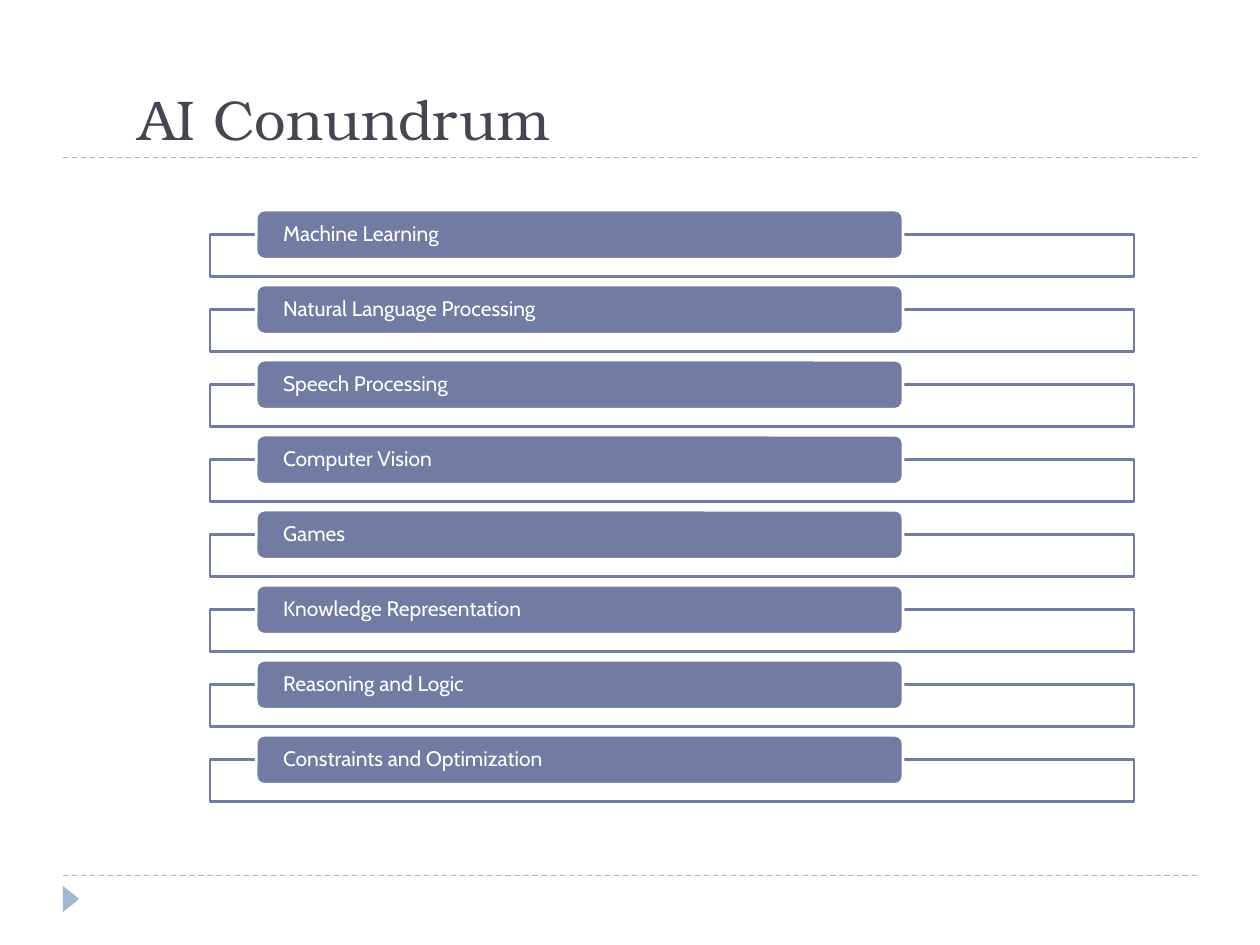
import pptx
import pptx.util
import pptx.dml.color
import pptx.enum.dml
import pptx.enum.shapes
import pptx.enum.text
import pptx.oxml.ns
import lxml.etree

Pt = pptx.util.Pt
RGBColor = pptx.dml.color.RGBColor
Shape = pptx.enum.shapes.MSO_SHAPE
Anchor = pptx.enum.text.MSO_ANCHOR
qn = pptx.oxml.ns.qn

WHITE = RGBColor(0xFF, 0xFF, 0xFF)
INK = RGBColor(0x46, 0x46, 0x53)
SLATE = RGBColor(0x72, 0x7C, 0xA3)
PALE_BLUE = RGBColor(0x9F, 0xB8, 0xCD)


def write_text(shape, text, font, size, color, anchor, inset, vertical_inset, spacing=1.0):
    frame = shape.text_frame
    frame.word_wrap = True
    frame.vertical_anchor = anchor
    frame.margin_left = frame.margin_right = Pt(inset)
    frame.margin_top = frame.margin_bottom = Pt(vertical_inset)
    paragraph = frame.paragraphs[0]
    paragraph.alignment = pptx.enum.text.PP_ALIGN.LEFT
    paragraph.line_spacing = spacing
    run = paragraph.add_run()
    run.text = text
    run.font.name = font
    run.font.size = Pt(size)
    run.font.color.rgb = color


def add_filled_shape(slide, kind, left, top, width, height, fill, line=None):
    shape = slide.shapes.add_shape(kind, Pt(left), Pt(top), Pt(width), Pt(height))
    shape.shadow.inherit = False
    shape.fill.solid()
    shape.fill.fore_color.rgb = fill
    if line is None:
        shape.line.fill.background()
    else:
        shape.line.color.rgb = line
        shape.line.width = Pt(1.5)
    return shape


presentation = pptx.Presentation()
presentation.slide_width = Pt(720)
presentation.slide_height = Pt(540)
slide = presentation.slides.add_slide(presentation.slide_layouts[6])

for rule_top in (500.4, 90):
    rule = slide.shapes.add_connector(
        pptx.enum.shapes.MSO_CONNECTOR.STRAIGHT, Pt(36), Pt(rule_top), Pt(684), Pt(rule_top))
    rule.line.color.rgb = PALE_BLUE
    rule.line.width = Pt(0.75)
    rule.line.dash_style = pptx.enum.dml.MSO_LINE.DASH
    lxml.etree.SubElement(rule.element.spPr, qn("a:effectLst"))

page_marker = add_filled_shape(
    slide, Shape.ISOSCELES_TRIANGLE, 33.1, 509, 15, 9.4, PALE_BLUE)
page_marker.rotation = 90

title = slide.shapes.add_textbox(Pt(72), Pt(0), Pt(648), Pt(90))
write_text(title, "AI Conundrum", font="TeX Gyre Bonum", size=32, color=INK,
           anchor=Anchor.BOTTOM, inset=7.2, vertical_inset=3.6)

topics = [
    "Machine Learning",
    "Natural Language Processing",
    "Speech Processing",
    "Computer Vision",
    "Games",
    "Knowledge Representation",
    "Reasoning and Logic",
    "Constraints and Optimization",
]
FIRST_TOP = 120.1
ROW_PITCH = 42.87

for index, topic in enumerate(topics):
    top = FIRST_TOP + index * ROW_PITCH
    topic_frame = add_filled_shape(
        slide, Shape.RECTANGLE, 120, top + 14, 528, 23.8, WHITE, SLATE)
    frame_color = topic_frame.element.spPr.find(qn("a:solidFill"))[0]
    lxml.etree.SubElement(frame_color, qn("a:alpha"), val="90000")
    topic_bar = add_filled_shape(
        slide, Shape.ROUNDED_RECTANGLE, 146.4, top, 369.6, 28, SLATE, WHITE)
    write_text(topic_bar, topic, font="Cabin", size=12, color=WHITE,
               anchor=Anchor.MIDDLE, inset=14, vertical_inset=0, spacing=0.9)

presentation.save("out.pptx")
